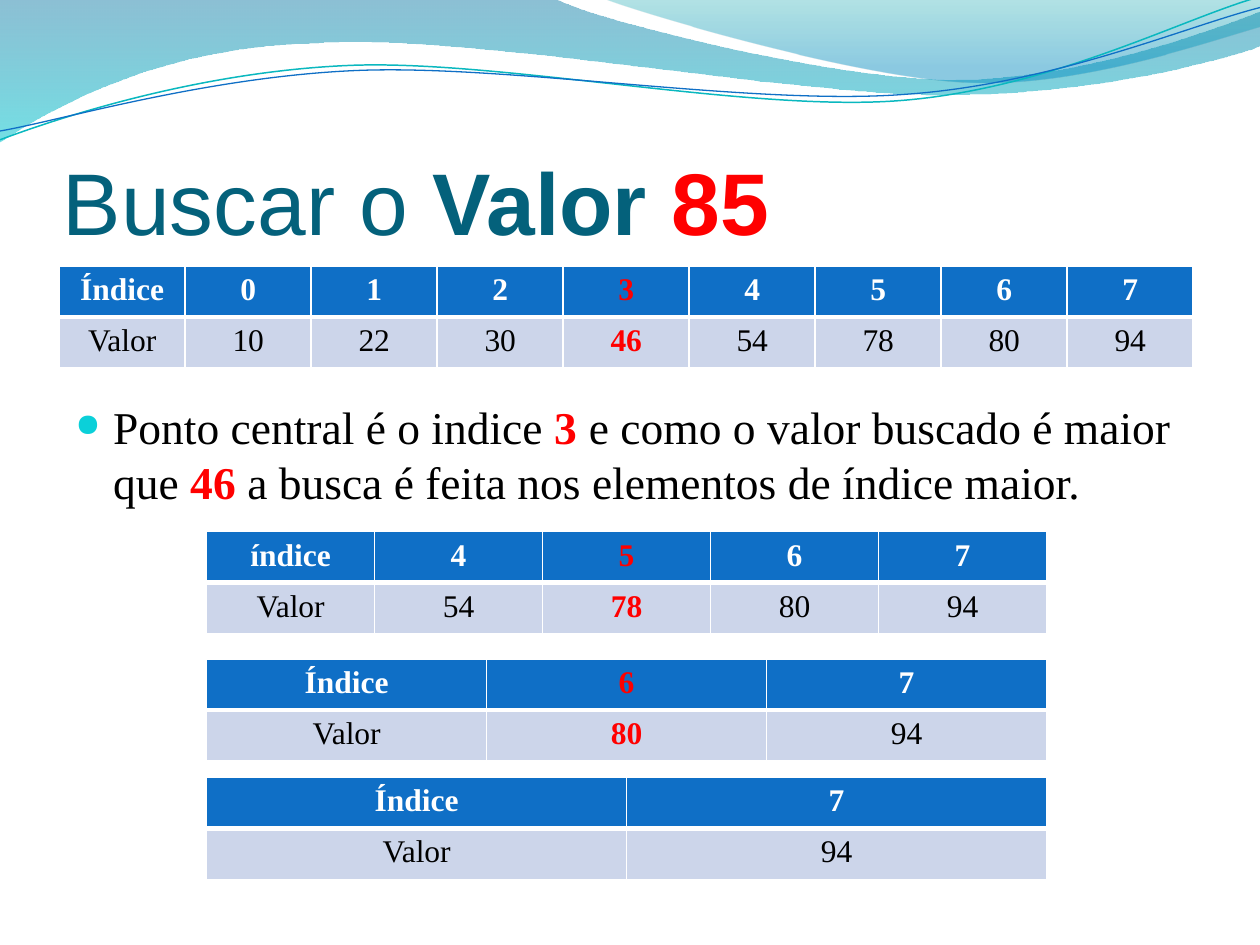
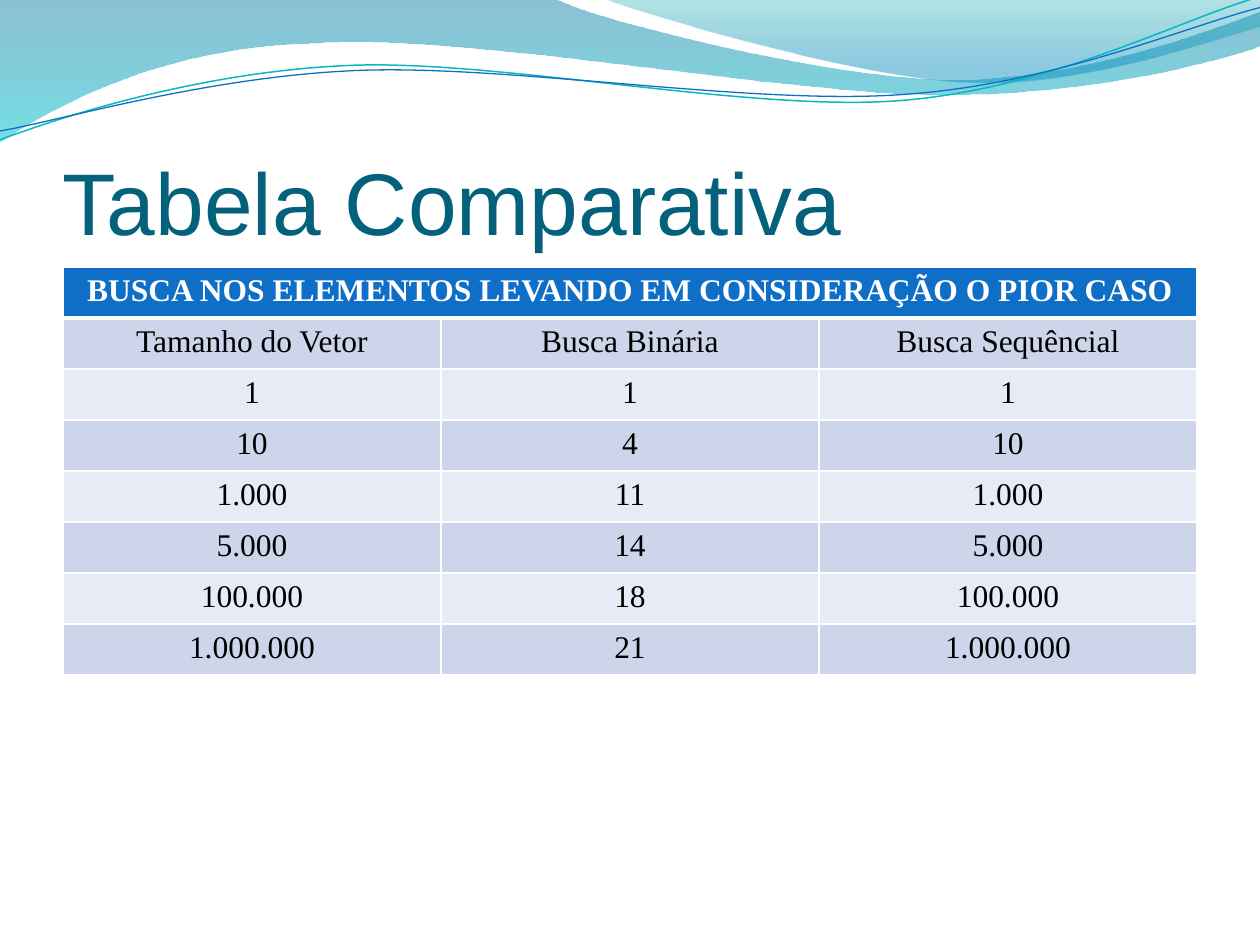
from lxml import etree
from pptx import Presentation
from pptx.dml.color import RGBColor
from pptx.enum.text import MSO_ANCHOR, PP_ALIGN
from pptx.oxml.ns import qn
from pptx.util import Inches, Pt

BOTTOM, CENTER = MSO_ANCHOR.BOTTOM, PP_ALIGN.CENTER

# Colours
WHITE = RGBColor(0xFF, 0xFF, 0xFF)
BLACK = RGBColor(0x00, 0x00, 0x00)
RED = RGBColor(0xFF, 0x00, 0x00)
TITLE_TEAL = RGBColor(0x04, 0x61, 0x7B)
HEADER_BLUE = RGBColor(0x0F, 0x6F, 0xC6)
ROW_DARK = RGBColor(0xCC, 0xD5, 0xEA)
ROW_LIGHT = RGBColor(0xE7, 0xEB, 0xF5)
BULLET_CYAN = RGBColor(0x0B, 0xD0, 0xD9)
LINE_TEAL = RGBColor(0x0A, 0xB8, 0xBF)
DEEP_BLUE = RGBColor(0x00, 0x74, 0xA1)
AQUA = RGBColor(0x00, 0xC6, 0xCF)
SEA_GREEN = RGBColor(0x00, 0xA1, 0xA9)
SKY_BLUE = RGBColor(0x00, 0x8B, 0xBF)

TITLE_FONT, BODY_FONT = "Arial", "Times New Roman"
WIDTH, HEIGHT = 10, 7.5
MARGIN = 0.05 * WIDTH
CONTENT_W = WIDTH - 2 * MARGIN
ROW_H = 0.81 / 2

# Waves in inches: a pair is a straight step, six numbers a Bézier curve
BACK_WAVE = [(0, 0), (4.4, -0.01),
             (4.76, 0.17, 6.64, 0.63, 7.58, 0.63),
             (8.53, 0.63, 9.58, 0.26, 10, 0.09), (10.01, 0.36),
             (9.83, 0.44, 8.7, 0.76, 7.46, 0.75),
             (6.22, 0.75, 3.82, 0.28, 2.57, 0.34),
             (1.29, 0.36, 0.46, 0.83, -0.01, 1.13), (0, 0)]
FRONT_WAVE = [(4.79, -0.01),
              (5.09, 0.11, 6.82, 0.62, 7.69, 0.65),
              (8.56, 0.69, 9.61, 0.32, 10, 0.21), (10, 0), (4.79, -0.01)]
TEAL_CURVE = [(0, 1.11),
              (0.48, 0.93, 1.58, 0.57, 2.77, 0.52),
              (3.95, 0.47, 5.93, 0.89, 7.13, 0.8),
              (8.33, 0.71, 9.38, 0.15, 9.98, -0.02)]
BLUE_CURVE = [(0, 1.04),
              (0.47, 0.96, 1.64, 0.61, 2.83, 0.56),
              (4.03, 0.51, 5.97, 0.84, 7.17, 0.75),
              (8.36, 0.67, 9.41, 0.21, 10, 0.06)]


def add_outline(s, outline, close):
    """Freeform through the end points, with its curved steps bent."""
    ends = [(Inches(step[-2]), Inches(step[-1])) for step in outline]
    builder = s.shapes.build_freeform(*ends[0])
    builder.add_line_segments(ends[1:], close=close)
    sp = builder.convert_to_shape()
    sp.shadow.inherit = False
    segments = list(sp.element.iter(qn("a:lnTo")))
    for segment, step in zip(segments, outline[1:]):
        if len(step) == 2:
            continue
        curve = etree.Element(qn("a:cubicBezTo"))
        for x, y in zip(step[::2], step[1::2]):
            etree.SubElement(curve, qn("a:pt"), x=str(Inches(x) - sp.left),
                             y=str(Inches(y) - sp.top))
        segment.getparent().replace(segment, curve)
    return sp


def add_wave(s, outline, stops):
    """Filled wave; each stop is (position, colour, opacity in percent)."""
    sp = add_outline(s, outline, True)
    sp.line.fill.background()
    sp.fill.gradient()
    sp.fill.gradient_angle = 270
    for stop, (position, color, _) in zip(sp.fill.gradient_stops, stops):
        stop.position = position
        stop.color.rgb = color
    colors = sp.element.spPr.iter(qn("a:srgbClr"))
    for node, (_, _, opacity) in zip(colors, stops):
        etree.SubElement(node, qn("a:alpha"), val=str(opacity * 1000))


def add_curve(s, outline, color, weight):
    sp = add_outline(s, outline, False)
    sp.fill.background()
    sp.line.color.rgb = color
    sp.line.width = Pt(weight)


def add_run(p, text, font, size, color, bold=False):
    r = p.add_run()
    r.text = text
    r.font.name, r.font.size, r.font.bold = font, Pt(size), bold
    r.font.color.rgb = color


def add_textbox(s, top, height):
    box = s.shapes.add_textbox(Inches(MARGIN), Inches(top),
                               Inches(CONTENT_W), Inches(height))
    box.text_frame.word_wrap = True
    return box.text_frame


def add_title(s, parts):
    tf = add_textbox(s, 0.76, 1.25)
    tf.vertical_anchor = BOTTOM
    tf.margin_left = tf.margin_right = tf.margin_bottom = 0
    for text, color, bold in parts:
        add_run(tf.paragraphs[0], text, TITLE_FONT, 50, color, bold)


def add_bullet(s, top, parts):
    """Bulleted paragraph; parts alternate plain and highlighted text."""
    tf = add_textbox(s, top, 1)
    p = tf.paragraphs[0]
    pPr = p._p.get_or_add_pPr()
    pPr.set("marL", str(Inches(0.3)))
    pPr.set("indent", str(-Inches(0.3)))
    bullet_color = etree.SubElement(pPr, qn("a:buClr"))
    etree.SubElement(bullet_color, qn("a:srgbClr"), val=str(BULLET_CYAN))
    etree.SubElement(pPr, qn("a:buSzPct"), val="70000")
    etree.SubElement(pPr, qn("a:buChar"), char="●")
    for i, text in enumerate(parts):
        marked = i % 2 == 1
        add_run(p, text, BODY_FONT, 26, RED if marked else BLACK, marked)


def set_borders(cell, top, bottom):
    tcPr = cell._tc.get_or_add_tcPr()
    sides = (("L", 1), ("R", 1), ("T", top), ("B", bottom))
    for i, (side, weight) in enumerate(sides):
        ln = etree.Element(qn("a:ln" + side), w=str(Pt(weight)))
        fill = etree.SubElement(ln, qn("a:solidFill"))
        etree.SubElement(fill, qn("a:srgbClr"), val=str(WHITE))
        tcPr.insert(i, ln)


def add_grid(s, left, top, width, rows, marked_col=None):
    """Table with a blue header row, banded rows and one optional red column."""
    n_cols = max(len(row) for row in rows)
    table = s.shapes.add_table(len(rows), n_cols, Inches(left), Inches(top),
                               Inches(width), Inches(ROW_H * len(rows))).table
    for col in table.columns:
        col.width = Inches(width / n_cols)
    for i, row in enumerate(rows):
        header = i == 0
        for j in range(n_cols):
            cell = table.cell(i, j)
            cell.fill.solid()
            cell.fill.fore_color.rgb = (HEADER_BLUE if header else
                                        ROW_DARK if i % 2 else ROW_LIGHT)
            set_borders(cell, 3 if i == 1 else 1, 3 if header else 1)
        if len(row) < n_cols:
            table.cell(i, 0).merge(table.cell(i, n_cols - 1))
        for j, text in enumerate(row):
            marked = j == marked_col
            p = table.cell(i, j).text_frame.paragraphs[0]
            p.alignment = CENTER
            color = RED if marked else WHITE if header else BLACK
            add_run(p, text, BODY_FONT, 18, color, header or marked)


def add_slide(prs, title):
    """Blank slide with the wave band and a title."""
    s = prs.slides.add_slide(prs.slide_layouts[6])
    add_wave(s, BACK_WAVE, [(0, DEEP_BLUE, 45), (1, AQUA, 55)])
    add_wave(s, FRONT_WAVE, [(0, SEA_GREEN, 30), (0.8, SKY_BLUE, 45)])
    add_curve(s, TEAL_CURVE, LINE_TEAL, 0.85)
    add_curve(s, BLUE_CURVE, HEADER_BLUE, 0.75)
    add_title(s, title)
    return s


def search_slide(prs):
    s = add_slide(prs, [("Buscar o ", TITLE_TEAL, False),
                        ("Valor ", TITLE_TEAL, True), ("85", RED, True)])
    values = ["10", "22", "30", "46", "54", "78", "80", "94"]

    def add_step(left, top, width, first, label, marked_col=None):
        """Part of the vector that is still searched, from index first on."""
        indexes = [str(i) for i in range(first, len(values))]
        add_grid(s, left, top, width,
                 [[label] + indexes, ["Valor"] + values[first:]], marked_col)

    add_bullet(s, 3.12, ["Ponto central é o indice ", "3 ",
                         "e como o valor buscado é maior que ", "46",
                         " a busca é feita nos elementos de índice maior."])
    add_step(0.47, 2.11, CONTENT_W, 0, "Índice", 4)
    for top, first, label, marked_col in ((4.22, 4, "índice", 2),
                                          (5.23, 6, "Índice", 1),
                                          (6.17, 7, "Índice", None)):
        add_step(1.64, top, WIDTH * 2 / 3, first, label, marked_col)


def comparison_slide(prs):
    s = add_slide(prs, [("Tabela Comparativa", TITLE_TEAL, False)])
    binary_steps = [("1", "1"), ("10", "4"), ("1.000", "11"), ("5.000", "14"),
                    ("100.000", "18"), ("1.000.000", "21")]
    rows = [["BUSCA NOS ELEMENTOS LEVANDO EM CONSIDERAÇÃO O PIOR CASO"],
            ["Tamanho do Vetor", "Busca Binária", "Busca Sequêncial"]]
    rows += [[size, steps, size] for size, steps in binary_steps]
    add_grid(s, MARGIN, 2.12, CONTENT_W, rows)


def main():
    prs = Presentation()
    prs.slide_width, prs.slide_height = Inches(WIDTH), Inches(HEIGHT)
    search_slide(prs)
    comparison_slide(prs)
    prs.save("out.pptx")


if __name__ == "__main__":
    main()
